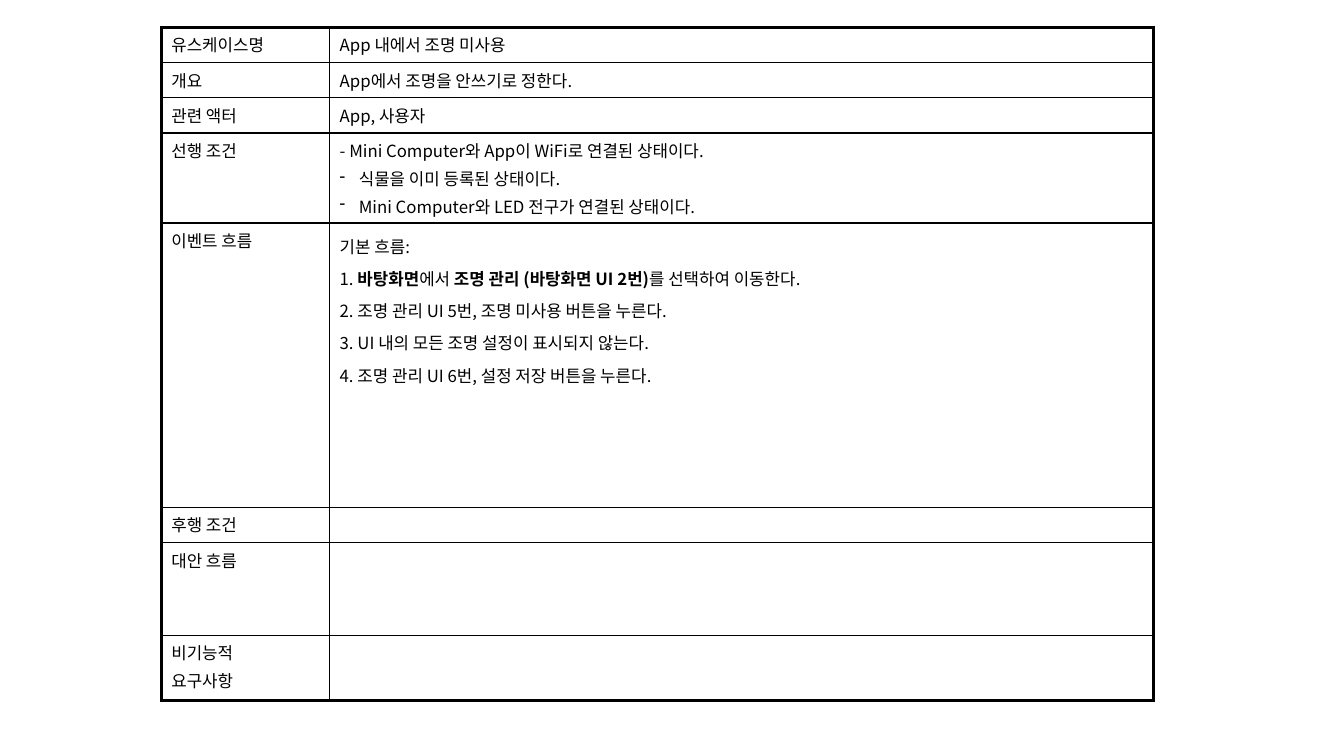
import pptx
import pptx.dml.color
import pptx.enum.text
import pptx.oxml.ns
import pptx.util
from lxml import etree

WIDTH, HEIGHT = 13.33, 7.5
FONT, SIZE, INK = "Noto Sans CJK KR", 12, "000000"
THIN, THICK = 1, 2.25
COLUMNS = [1.67, 8.17]
HANGING = 0.19

# Row height, label lines, content lines; ** switches bold, a leading • makes a dash bullet
USE_CASE = [
    (0.35, ["유스케이스명"], ["App 내에서 조명 미사용"]),
    (0.35, ["개요"], ["App에서 조명을 안쓰기로 정한다."]),
    (0.35, ["관련 액터"], ["App, 사용자"]),
    (0.86, ["선행 조건"], [
        "- Mini Computer와 App이 WiFi로 연결된 상태이다.",
        "•식물을 이미 등록된 상태이다.",
        "•Mini Computer와 LED 전구가 연결된 상태이다.",
    ]),
    (2.82, ["이벤트 흐름"], [
        "기본 흐름:",
        "1. **바탕화면**에서 **조명 관리 (바탕화면 UI 2번)**를 선택하여 이동한다.",
        "2. 조명 관리 UI 5번, 조명 미사용 버튼을 누른다.",
        "3. UI 내의 모든 조명 설정이 표시되지 않는다.",
        "4. 조명 관리 UI 6번, 설정 저장 버튼을 누른다.",
    ]),
    (0.35, ["후행 조건"], []),
    (0.92, ["대안 흐름"], []),
    (0.65, ["비기능적", "요구사항"], []),
]
FLOW_ROW = 4


def add_xml(parent, tag, **attributes):
    return etree.SubElement(parent, pptx.oxml.ns.qn(tag), attributes)


def color(hex_string):
    return pptx.dml.color.RGBColor.from_string(hex_string)


def set_borders(cell, **widths):
    """Draw the cell's sides; widths are points keyed L, R, T, B in that order."""
    tc_pr = cell._tc.get_or_add_tcPr()
    for side, width in widths.items():
        line = add_xml(tc_pr, f"a:ln{side}", w=str(pptx.util.Pt(width)))
        add_xml(add_xml(line, "a:solidFill"), "a:srgbClr", val=INK)


def add_run(p, text, bold=False):
    r = p.add_run()
    r.text = text
    r.font.name, r.font.size, r.font.bold = FONT, pptx.util.Pt(SIZE), bold
    r.font.color.rgb = color(INK)
    add_xml(r._r.get_or_add_rPr(), "a:ea", typeface=FONT)


def set_dash_bullet(p):
    p_pr = p._p.get_or_add_pPr()
    indent = pptx.util.Inches(HANGING)
    p_pr.set("marL", str(indent))
    p_pr.set("indent", str(-indent))
    add_xml(p_pr, "a:buChar", char="-")


def write_lines(cell, lines, gap=0.2, line_spacing=None, align=None):
    """Fill the cell; gap is the space between paragraphs as a share of the text size."""
    tf = cell.text_frame
    for i, line in enumerate(lines):
        p = tf.paragraphs[0] if i == 0 else tf.add_paragraph()
        if line.startswith("•"):
            set_dash_bullet(p)
        p.alignment, p.line_spacing = align, line_spacing
        p.space_before = pptx.util.Pt(gap * SIZE if i else 0)
        for n, text in enumerate(line.lstrip("•").split("**")):
            add_run(p, text, bold=n % 2 == 1)
    if not lines:
        add_xml(tf.paragraphs[0]._p, "a:endParaRPr", sz=str(SIZE * 100))


def add_use_case_table(s, rows, left, top):
    heights = [height for height, *_ in rows]
    box = [pptx.util.Inches(v) for v in (left, top, sum(COLUMNS), sum(heights))]
    table = s.shapes.add_table(len(rows), len(COLUMNS), *box).table
    table.first_row = table.horz_banding = False
    for column, width in zip(table.columns, COLUMNS):
        column.width = pptx.util.Inches(width)
    last_row, last_column = len(rows) - 1, len(COLUMNS) - 1
    for i, (height, *texts) in enumerate(rows):
        table.rows[i].height = pptx.util.Inches(height)
        for j, lines in enumerate(texts):
            cell = table.cell(i, j)
            set_borders(cell,
                        L=THICK if j == 0 else THIN,
                        R=THICK if j == last_column else THIN,
                        T=THICK if i == 0 else THIN,
                        B=THICK if i == last_row else THIN)
            cell.fill.background()
            if (i, j) == (FLOW_ROW, last_column):
                write_lines(cell, lines, gap=0.1, line_spacing=1.25,
                            align=pptx.enum.text.PP_ALIGN.JUSTIFY)
            else:
                write_lines(cell, lines)


def main():
    prs = pptx.Presentation()
    prs.slide_width = pptx.util.Inches(WIDTH)
    prs.slide_height = pptx.util.Inches(HEIGHT)
    s = prs.slides.add_slide(prs.slide_layouts[6])
    add_use_case_table(s, USE_CASE, left=0.12 * WIDTH, top=0.036 * HEIGHT)
    prs.save("out.pptx")


if __name__ == "__main__":
    main()
